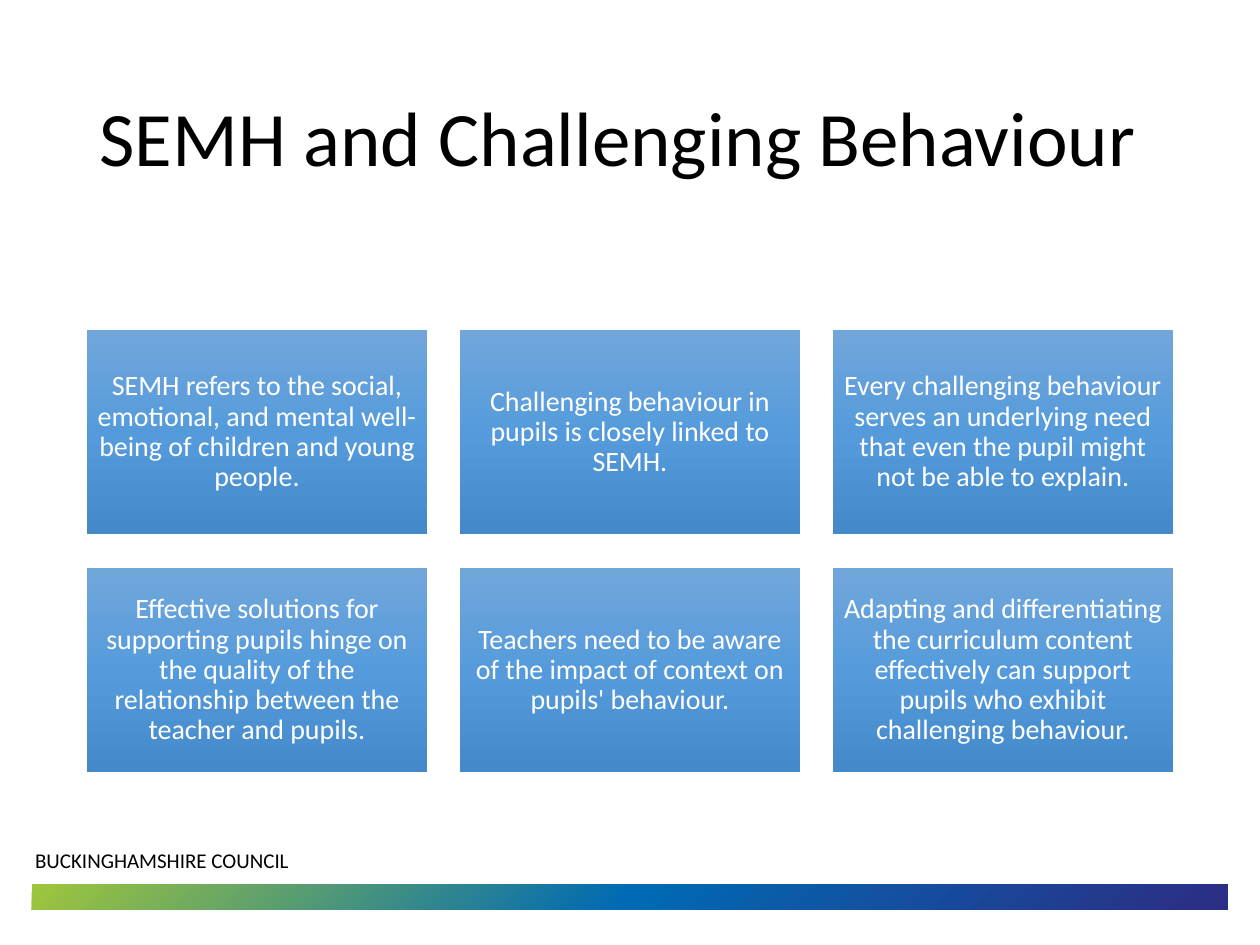
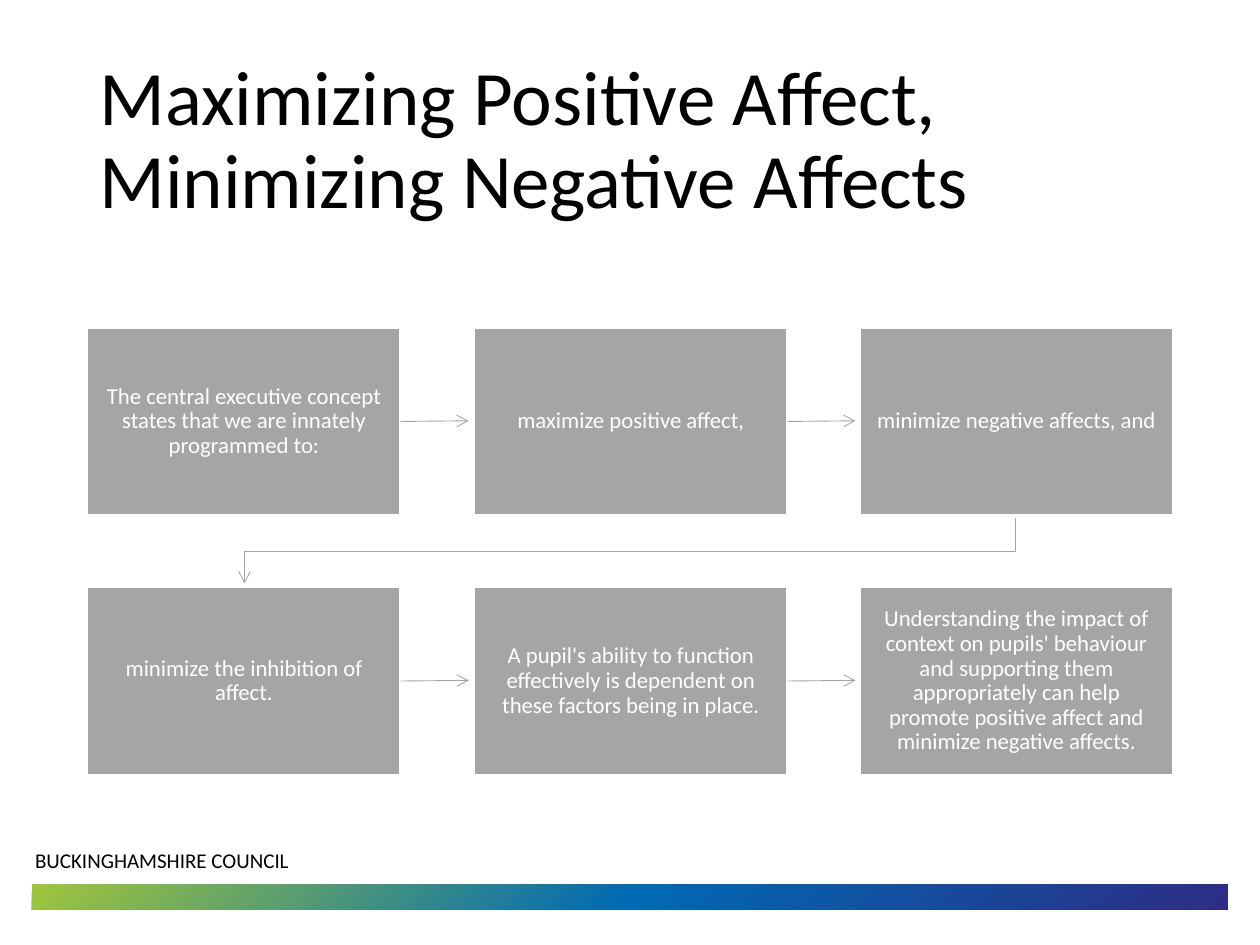
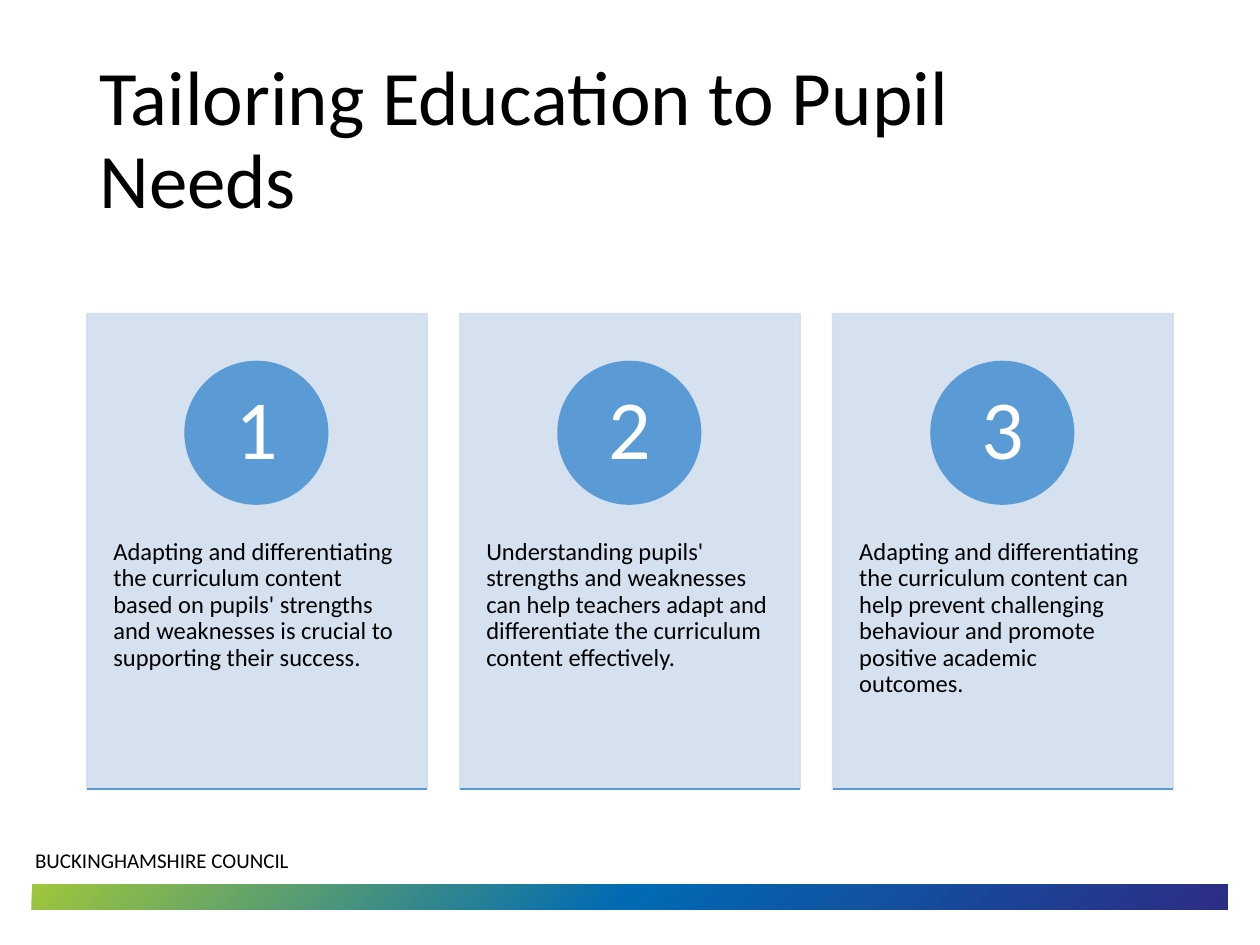
import pptx
import pptx.util
import pptx.dml.color
import pptx.enum.shapes
import pptx.enum.text
import pptx.oxml
import pptx.oxml.ns
import lxml.etree

SCALE = 9144
FONT = "Calibri"
BLACK, WHITE = "000000", "FFFFFF"
BLUE, PALE, GREY = "5B9BD5", "D2DEEF", "A5A5A5"
BAND = ["2C2D84", "006AB4", "9FC63B"]
SHADE = ["71A6DB", "559BDB", "448ACA"]
CORNER = ('<a:path path="circle"><a:fillToRect l="100000" t="100000"/></a:path>'
          '<a:tileRect r="-100000" b="-100000"/>')
DOWN = '<a:lin ang="5400000" scaled="0"/>'
LEFT, WIDTH, COLS = 69, 862, 3

ALIGN = pptx.enum.text.PP_ALIGN
ANCHOR = pptx.enum.text.MSO_ANCHOR
KIND = pptx.enum.shapes.MSO_SHAPE

FACTS = [
    "SEMH refers to the social, emotional, and mental well-being of children and young people.",
    "Challenging behaviour in pupils is closely linked to SEMH.",
    "Every challenging behaviour serves an underlying need that even the pupil might not be able to explain.",
    "Effective solutions for supporting pupils hinge on the quality of the relationship between the teacher and pupils.",
    "Teachers need to be aware of the impact of context on pupils' behaviour.",
    "Adapting and differentiating the curriculum content effectively can support pupils who exhibit challenging behaviour.",
]
STEPS = [
    "The central executive concept states that we are innately programmed to:",
    "maximize positive affect,",
    "minimize negative affects, and",
    "minimize the inhibition of affect.",
    "A pupil's ability to function effectively is dependent on these factors being in place.",
    "Understanding the impact of context on pupils' behaviour and supporting them appropriately can help promote positive affect and minimize negative affects.",
]
NEEDS = [
    "Adapting and differentiating the curriculum content based on pupils' strengths and weaknesses is crucial to supporting their success.",
    "Understanding pupils' strengths and weaknesses can help teachers adapt and differentiate the curriculum content effectively.",
    "Adapting and differentiating the curriculum content can help prevent challenging behaviour and promote positive academic outcomes.",
]


def px(*sizes):
    return [pptx.util.Emu(size * SCALE) for size in sizes]


def paint(target, code):
    target.solid()
    target.fore_color.rgb = pptx.dml.color.RGBColor.from_string(code)


def blend(shape, codes, path):
    stops = "".join(
        f'<a:gs pos="{50000 * i}"><a:srgbClr val="{code}"/></a:gs>'
        for i, code in enumerate(codes))
    props = shape._element.spPr
    grad = pptx.oxml.parse_xml(
        f'<a:gradFill {pptx.oxml.ns.nsdecls("a")} rotWithShape="1">'
        f'<a:gsLst>{stops}</a:gsLst>{path}</a:gradFill>')
    props.find(pptx.oxml.ns.qn("a:prstGeom")).addnext(grad)


def fade(shape, part):
    tag = pptx.oxml.ns.qn
    for clr in list(shape._element.spPr.iter(tag("a:srgbClr"))):
        lxml.etree.SubElement(clr, tag("a:alpha")).set("val", str(part * 1000))


def box(slide, area, fill=None, edge=None, width=1, kind=KIND.RECTANGLE):
    shape = slide.shapes.add_shape(kind, *px(*area))
    shape.shadow.inherit = False
    if fill:
        paint(shape.fill, fill)
    if edge:
        paint(shape.line.fill, edge)
        shape.line.width = pptx.util.Pt(width)
    else:
        shape.line.fill.background()
    return shape


def write(shape, text, size, color=BLACK, align=ALIGN.LEFT,
          anchor=ANCHOR.MIDDLE, pad=(10, 5), lead=0.9):
    frame = shape.text_frame
    frame.word_wrap = True
    frame.vertical_anchor = anchor
    frame.margin_left = frame.margin_right = px(pad[0])[0]
    frame.margin_top = frame.margin_bottom = px(pad[1])[0]
    para = frame.paragraphs[0]
    para.text = text
    para.alignment = align
    para.line_spacing = lead
    para.font.name = FONT
    para.font.size = pptx.util.Pt(size)
    para.font.color.rgb = pptx.dml.color.RGBColor.from_string(color)


def label(slide, area, text, size, **style):
    write(slide.shapes.add_textbox(*px(*area)), text, size, **style)


def stroke(line, color, width, head=False):
    paint(line.line.fill, color)
    line.line.width = pptx.util.Pt(width)
    tag = pptx.oxml.ns.qn
    if head:
        lxml.etree.SubElement(line.line._get_or_add_ln(), tag("a:tailEnd")).set("type", "arrow")
    props = line._element.spPr
    if props.find(tag("a:effectLst")) is None:
        lxml.etree.SubElement(props, tag("a:effectLst"))


def link(slide, start, end):
    return slide.shapes.add_connector(
        pptx.enum.shapes.MSO_CONNECTOR.STRAIGHT, *px(*start, *end))


def bend(slide, points):
    spots = [px(*point) for point in points]
    draft = slide.shapes.build_freeform(*spots[0], scale=1.0)
    draft.add_line_segments(spots[1:], close=False)
    shape = draft.convert_to_shape()
    shape.shadow.inherit = False
    shape.fill.background()
    stroke(shape, GREY, 0.5, head=True)


def grid(count, top, wide, high, drop=0):
    step = (WIDTH - wide) / (COLS - 1)
    return [(round(LEFT + i % COLS * step), top + i // COLS * drop, wide, high)
            for i in range(count)]


def page(deck, title):
    slide = deck.slides.add_slide(deck.slide_layouts[6])
    band = box(slide, (25, 702, 949, 20))
    blend(band, BAND, CORNER)
    band._element.spPr.xfrm.set("flipH", "1")
    label(slide, (18, 668, 481, 30), "BUCKINGHAMSHIRE COUNCIL", 12,
          anchor=ANCHOR.TOP, lead=1.0)
    label(slide, (LEFT, 40, WIDTH, 145), title, 44)
    return slide


def tiles(slide):
    for area, text in zip(grid(6, 262, 270, 162, 189), FACTS):
        tile = box(slide, area)
        blend(tile, SHADE, DOWN)
        write(tile, text, 16, WHITE, ALIGN.CENTER, pad=(7, 7))


def flow(slide):
    areas = grid(6, 260, 249, 149, 206)
    for i, (area, text) in enumerate(zip(areas, STEPS)):
        step = box(slide, area, GREY, WHITE, 1.5)
        write(step, text, 13, WHITE, ALIGN.CENTER, pad=(12, 13))
        if i % COLS < COLS - 1:
            x, y, wide, high = area
            mid = y + high // 2
            arrow = link(slide, (x + wide, mid), (x + wide + 54, mid))
            arrow.begin_connect(step, 3)
            stroke(arrow, GREY, 0.5, head=True)
    bend(slide, [(806, 411), (806, 438), (194, 438), (194, 463)])


def cards(slide):
    for i, (area, text) in enumerate(zip(grid(3, 249, 270, 377), NEEDS), 1):
        x, y, wide, high = area
        fade(box(slide, area, PALE, PALE), 90)
        label(slide, (x, y + 143, wide, 226), text, 14,
              anchor=ANCHOR.TOP, pad=(21, 36))
        disc = box(slide, (x + 78, y + 38, 113, 113), BLUE, BLUE, kind=KIND.OVAL)
        write(disc, str(i), 48, WHITE, ALIGN.CENTER, pad=(9, 1))
        stroke(link(slide, (x, y + high), (x + wide, y + high)), BLUE, 1)


def main():
    deck = pptx.Presentation()
    deck.slide_width, deck.slide_height = px(1000, 750)
    tiles(page(deck, "SEMH and Challenging Behaviour"))
    flow(page(deck, "Maximizing Positive Affect, Minimizing Negative Affects"))
    cards(page(deck, "Tailoring Education to Pupil Needs"))
    deck.save("out.pptx")


if __name__ == "__main__":
    main()
